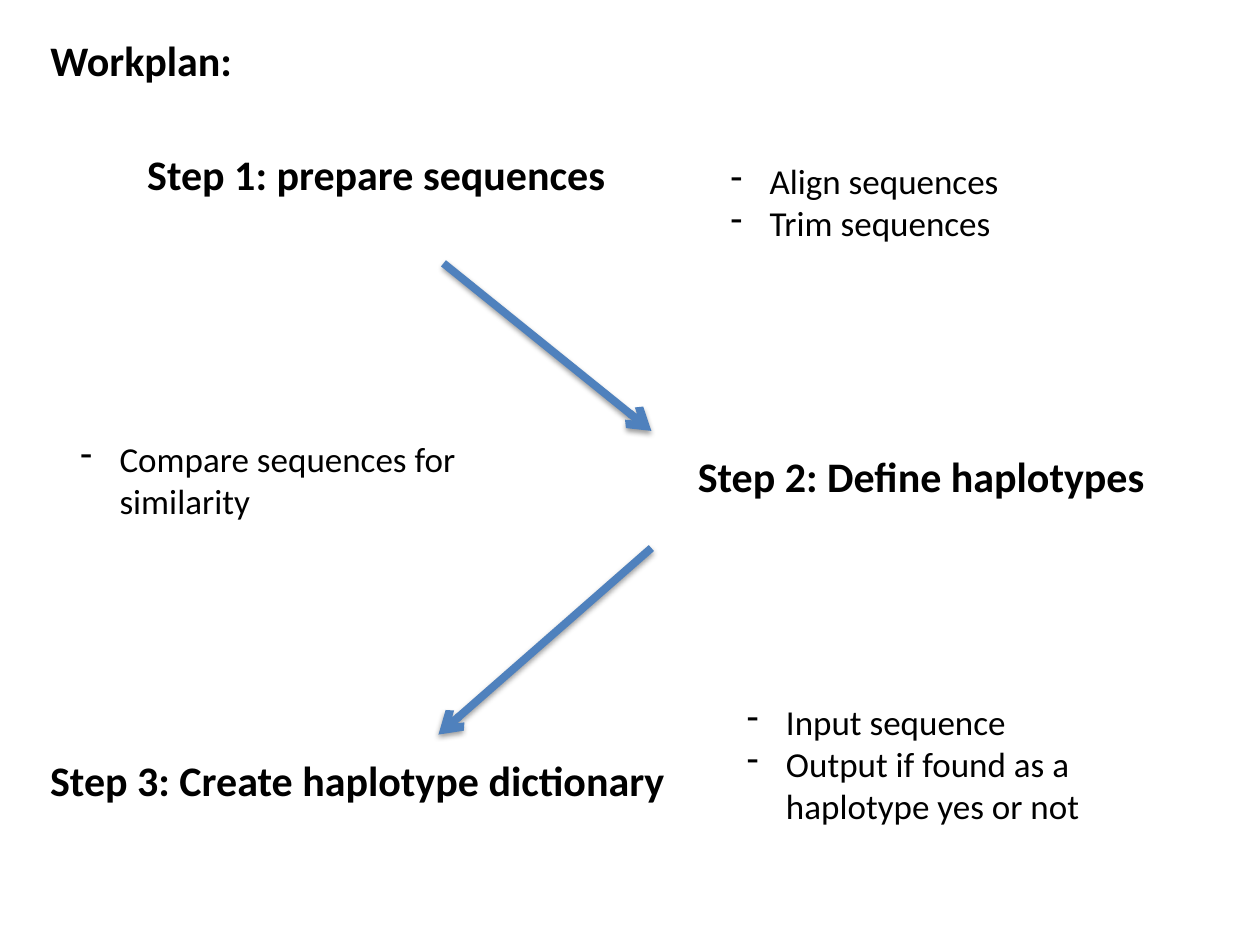
from lxml import etree
from pptx import Presentation
from pptx import util as u
from pptx.dml.color import RGBColor
from pptx.enum import shapes, text
from pptx.oxml import parse_xml
from pptx.oxml.ns import nsdecls, qn

FONT = "Calibri"
BLACK = "000000"
BLUE = "4F81BD"
INDENT = 0.31

# Each step: heading, heading box, detail lines, detail box, detail wraps
STEPS = [
    ("Step 1: prepare sequences", (1.07, 1.13, 3.88, 0.5),
     ["Align sequences", "Trim sequences"], (5.7, 1.22, 2.33, 0.77), False),
    ("Step 2: Define haplotypes", (5.44, 3.53, 3.79, 0.5),
     ["Compare sequences for similarity"], (0.54, 3.42, 3.81, 0.77), True),
    ("Step 3: Create haplotype dictionary", (0.3, 5.94, 5.14, 0.5),
     ["Input sequence", "Output if found as a haplotype yes or not"],
     (5.83, 5.51, 3.2, 1.11), True),
]
ARROWS = [((3.52, 2.09), (5.17, 3.42)), ((5.17, 4.35), (3.48, 5.83))]


def colour(value):
    return RGBColor.from_string(value)


def inches(values):
    return [u.Inches(value) for value in values]


def add_dash(para):
    props = para._p.get_or_add_pPr()
    props.set("marL", str(u.Inches(INDENT)))
    props.set("indent", str(-u.Inches(INDENT)))
    etree.SubElement(props, qn("a:buFontTx"))
    etree.SubElement(props, qn("a:buChar")).set("char", "-")


def write_text(shape, lines, size=20, bold=False, wrap=False, dashes=False):
    frame = shape.text_frame
    frame.word_wrap = wrap
    frame.auto_size = text.MSO_AUTO_SIZE.SHAPE_TO_FIT_TEXT
    frame.vertical_anchor = text.MSO_ANCHOR.TOP
    for index, line in enumerate(lines):
        para = frame.add_paragraph() if index else frame.paragraphs[0]
        para.alignment = text.PP_ALIGN.LEFT
        if dashes:
            add_dash(para)
        span = para.add_run()
        span.text = line
        span.font.name = FONT
        span.font.size = u.Pt(size)
        span.font.bold = bold
        span.font.color.rgb = colour(BLACK)


def place_title(page, box, words):
    title = page.shapes.title
    title.left, title.top, title.width, title.height = inches(box)
    write_text(title, [words], size=24, bold=True)


def add_step(page, heading, heading_box, details, details_box, wrap):
    write_text(page.shapes.add_textbox(*inches(heading_box)), [heading],
               size=24, bold=True)
    write_text(page.shapes.add_textbox(*inches(details_box)), details,
               wrap=wrap, dashes=True)


def add_arrow(page, start, end):
    arrow = page.shapes.add_connector(
        shapes.MSO_CONNECTOR.STRAIGHT, *inches(start + end))
    arrow.line.color.rgb = colour(BLUE)
    arrow.line.width = u.Pt(4.5)
    etree.SubElement(arrow.line._get_or_add_ln(), qn("a:tailEnd")).set("type", "arrow")
    # Soft shadow falling straight down
    arrow._element.spPr.append(parse_xml(
        f'<a:effectLst {nsdecls("a")}>'
        '<a:outerShdw blurRad="40000" dist="20000" dir="5400000" rotWithShape="0">'
        f'<a:srgbClr val="{BLACK}"><a:alpha val="38000"/></a:srgbClr>'
        '</a:outerShdw></a:effectLst>'))


def main():
    deck = Presentation()
    deck.slide_width, deck.slide_height = inches((10, 7.5))
    page = deck.slides.add_slide(deck.slide_layouts.get_by_name("Title Only"))

    place_title(page, (0.3, 0.22, 1.67, 0.5), "Workplan:")
    for step in STEPS:
        add_step(page, *step)
    for start, end in ARROWS:
        add_arrow(page, start, end)

    deck.save("out.pptx")


if __name__ == "__main__":
    main()
